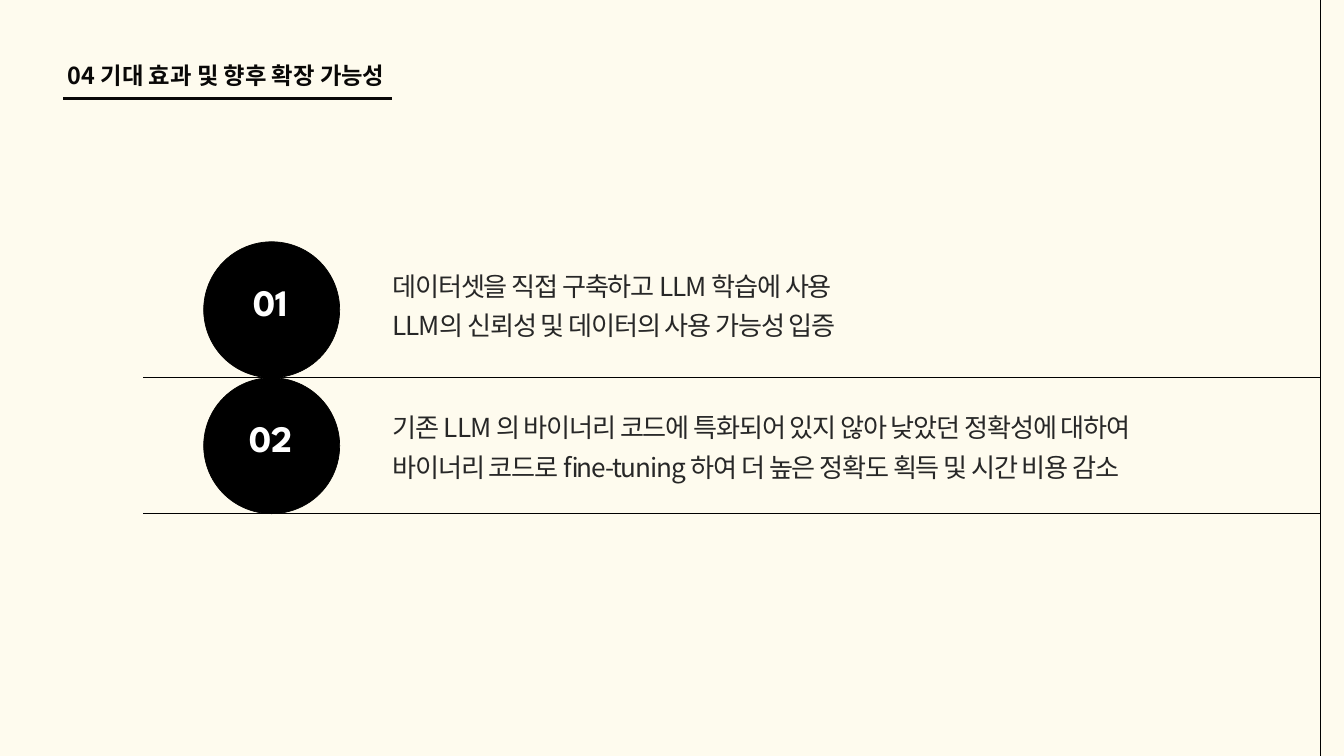
from lxml.etree import SubElement
from pptx import Presentation
from pptx.dml.color import RGBColor
from pptx.enum.shapes import MSO_CONNECTOR, MSO_SHAPE
from pptx.enum.text import MSO_ANCHOR, MSO_AUTO_SIZE, PP_ALIGN
from pptx.oxml.ns import qn
from pptx.util import Cm, Pt

COLORS = {
    "background": "FEFBEE",
    "black": "000000",
    "heading": "090807",
    "body": "272727",
    "white": "FFFFFF",
}
SLIDE_WIDTH, SLIDE_HEIGHT = 50.8, 28.58
RIGHT_RULE = 49.91
CIRCLE_LEFT, CIRCLE_TOP, CIRCLE_SIZE = 7.7, 9.14, 5.14
BODY_TOP, BODY_PITCH = 9.93, 5.34
ITEMS = [
    ("01", ["데이터셋을 직접 구축하고 LLM 학습에 사용",
            "LLM의 신뢰성 및 데이터의 사용 가능성 입증"]),
    ("02", ["기존 LLM 의 바이너리 코드에 특화되어 있지 않아 낮았던 정확성에 대하여 "
            "바이너리 코드로 fine-tuning 하여 더 높은 정확도 획득 및 시간 비용 감소"]),
]


def color(name):
    return RGBColor.from_string(COLORS[name])


def add_line(slide, start, end, line_color="black", width=0.75):
    connector = slide.shapes.add_connector(
        MSO_CONNECTOR.STRAIGHT, *(Cm(value) for value in start + end))
    connector.line.color.rgb = color(line_color)
    connector.line.width = Pt(width)
    SubElement(connector._element.spPr, qn("a:effectLst"))


def add_circle(slide, left, top, size):
    circle = slide.shapes.add_shape(
        MSO_SHAPE.OVAL, Cm(left), Cm(top), Cm(size), Cm(size))
    circle.shadow.inherit = False
    circle.fill.solid()
    circle.fill.fore_color.rgb = color("black")
    circle.line.color.rgb = color("black")
    circle.line.width = Pt(0.75)


def style_paragraph(paragraph, font_name, size, text_color, bold, line_height, tracking):
    paragraph.line_spacing = Pt(line_height)
    font = paragraph.font
    font.name = font_name
    font.size = Pt(size)
    font.bold = bold
    font.color.rgb = color(text_color)
    properties = paragraph._p.pPr.find(qn("a:defRPr"))
    SubElement(properties, qn("a:ea")).set("typeface", font_name)
    if tracking:
        properties.set("spc", str(round(tracking * 100)))
        for run in paragraph.runs:
            run._r.get_or_add_rPr().set("spc", str(round(tracking * 100)))


def add_text(slide, box, lines, font_name, size, text_color, line_height,
             bold=False, tracking=0, inset=0):
    shape = slide.shapes.add_textbox(*(Cm(value) for value in box))
    frame = shape.text_frame
    frame.word_wrap = True
    frame.margin_left = frame.margin_right = Cm(inset)
    frame.margin_top = frame.margin_bottom = Cm(inset)
    frame.text = "\n".join(lines)
    for paragraph in frame.paragraphs:
        style_paragraph(paragraph, font_name, size, text_color, bold,
                        line_height, tracking)
    return frame


def add_heading(slide):
    add_line(slide, (2.39, 3.73), (14.83, 3.73), "heading", 3)
    frame = add_text(slide, (2.57, 2.13, 12.27, 1.17),
                     ["04 기대 효과 및 향후 확장 가능성"],
                     "Noto Sans CJK SC", 25, "heading", 35, bold=True)
    frame.auto_size = MSO_AUTO_SIZE.SHAPE_TO_FIT_TEXT


def add_item(slide, index, number, lines):
    top = CIRCLE_TOP + index * CIRCLE_SIZE
    add_circle(slide, CIRCLE_LEFT, top, CIRCLE_SIZE)
    frame = add_text(slide, (8.15, top - 0.23, 4.17, 4.9), [number],
                     "League Spartan", 40, "white", 50.4, bold=True, inset=0.15)
    frame.vertical_anchor = MSO_ANCHOR.MIDDLE
    frame.paragraphs[0].alignment = PP_ALIGN.CENTER
    body = add_text(slide, (14.83, BODY_TOP + index * BODY_PITCH, 29.77, 2.87),
                    lines, "Noto Sans CJK KR", 28, "body", 42, tracking=-1.2)
    body.auto_size = MSO_AUTO_SIZE.SHAPE_TO_FIT_TEXT
    bottom = top + CIRCLE_SIZE
    add_line(slide, (5.41, bottom), (RIGHT_RULE, bottom))


def main():
    presentation = Presentation()
    presentation.slide_width = Cm(SLIDE_WIDTH)
    presentation.slide_height = Cm(SLIDE_HEIGHT)
    slide = presentation.slides.add_slide(presentation.slide_layouts[6])
    slide.background.fill.solid()
    slide.background.fill.fore_color.rgb = color("background")
    add_line(slide, (RIGHT_RULE, SLIDE_HEIGHT), (RIGHT_RULE, 0))
    for index, (number, lines) in enumerate(ITEMS):
        add_item(slide, index, number, lines)
    add_heading(slide)
    presentation.save("out.pptx")


if __name__ == "__main__":
    main()
